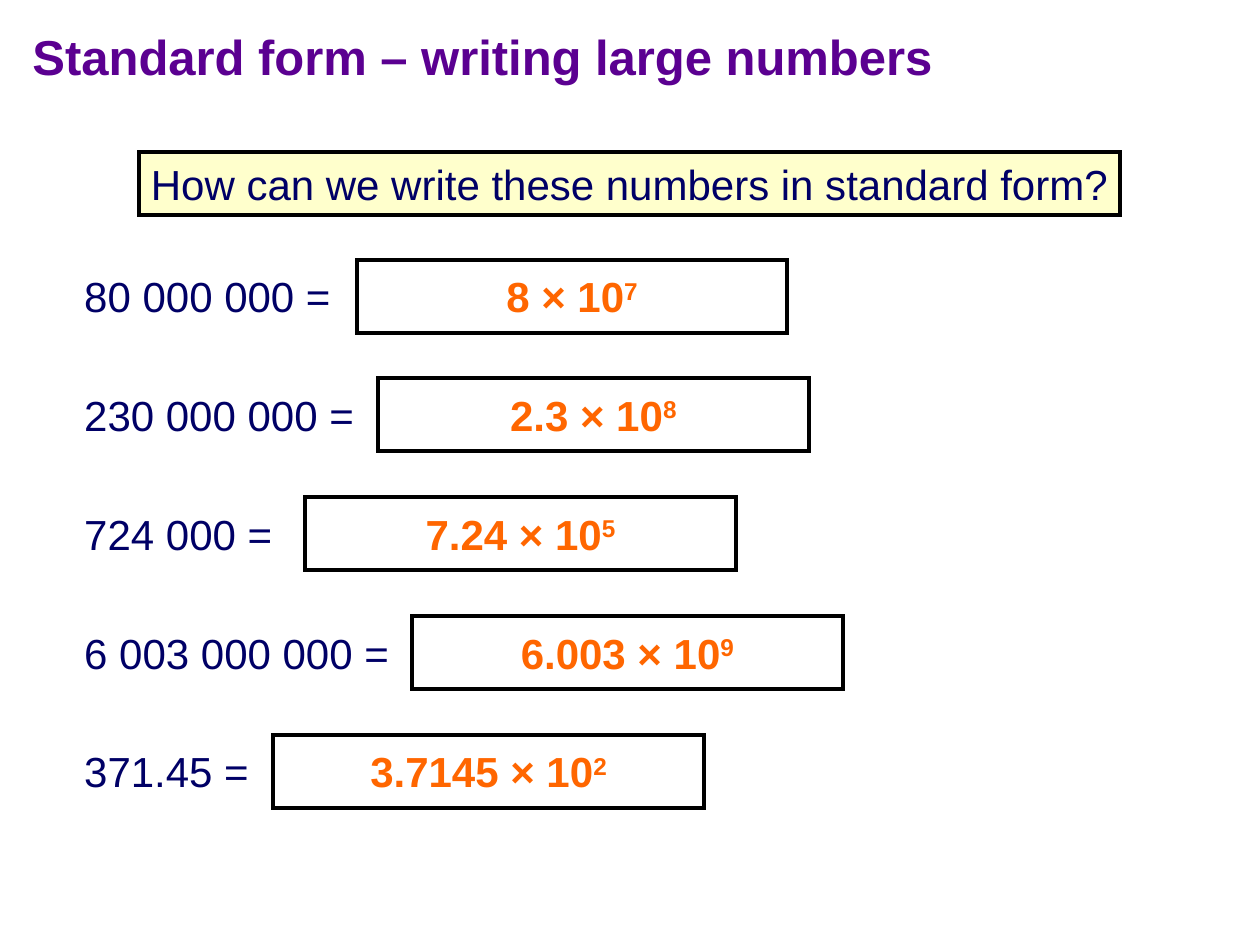
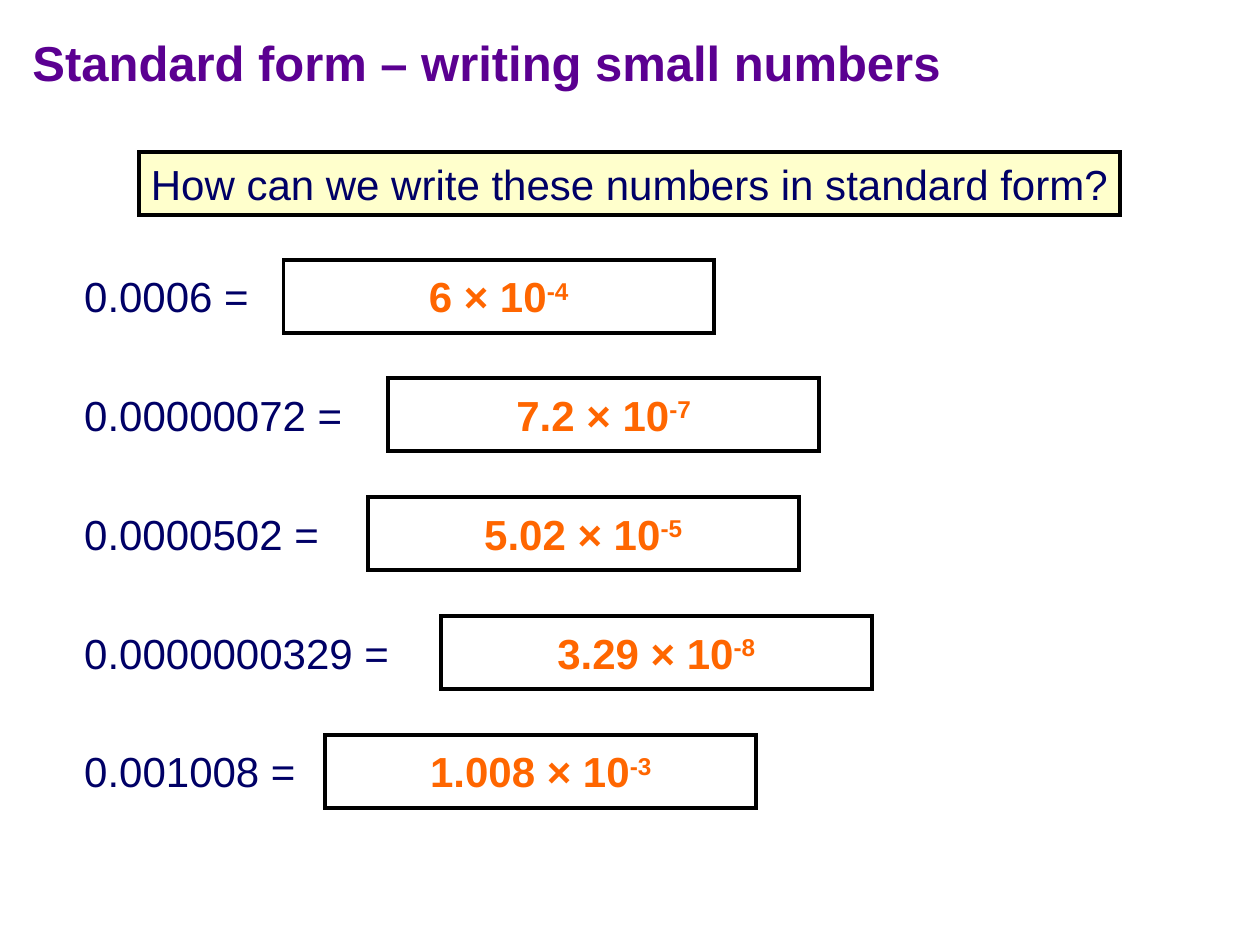
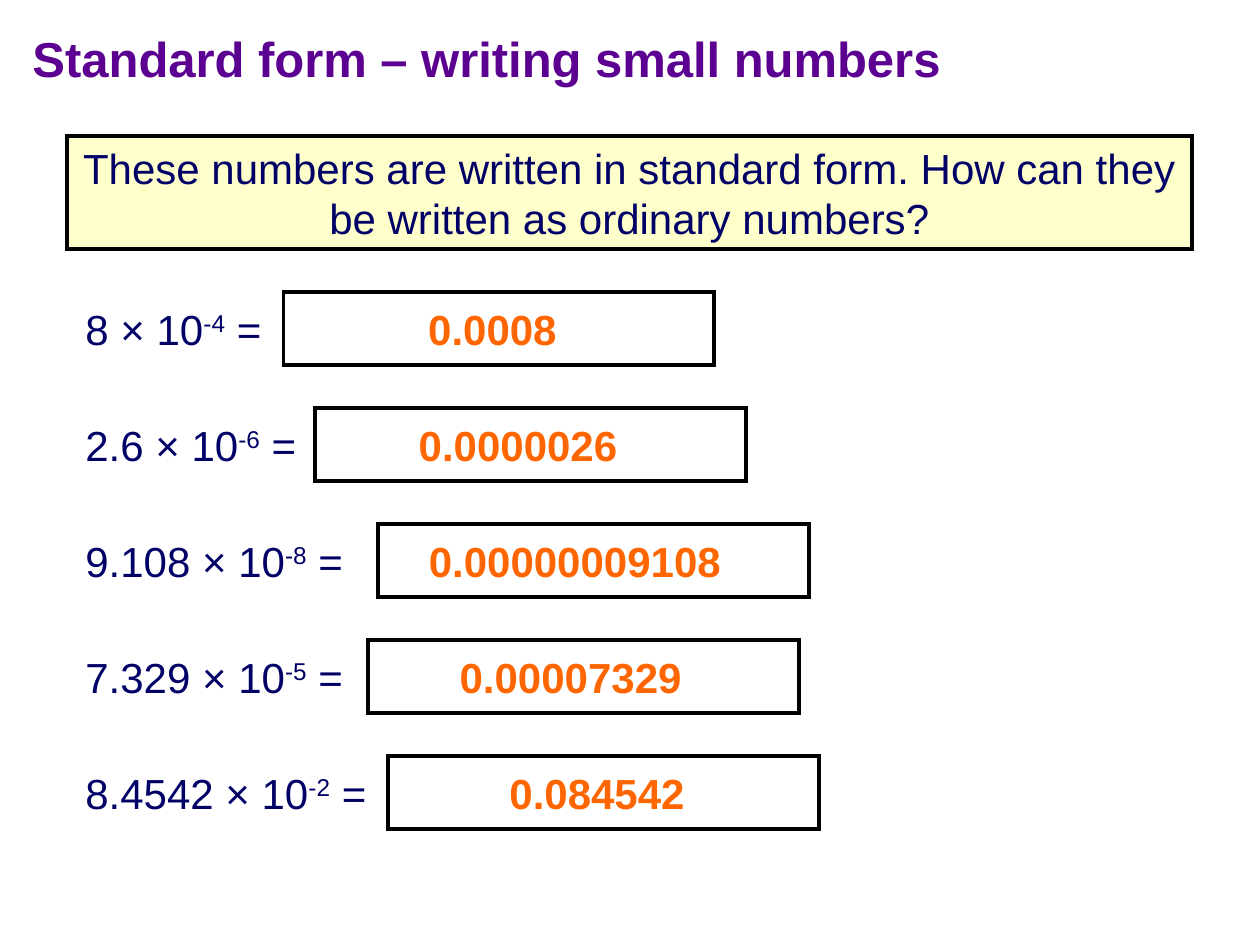
from dataclasses import dataclass

from lxml import etree
from pptx import Presentation
from pptx import util as u
from pptx.dml.color import RGBColor
from pptx.enum import shapes, text
from pptx.oxml import ns

FONT = "Arial"
PURPLE = "5B0091"
NAVY = "000066"
ORANGE = "FF6600"
CREAM = "FFFFCC"
WHITE = "FFFFFF"
BLACK = "000000"

ANSWER_BOX_WIDTH = 3.42
ANSWER_BOX_HEIGHT = 0.58
TEXT_HEIGHT = 0.5
TEXT_INSET = 0.04


@dataclass
class Row:
    question: str
    question_width: float
    box_left: float
    answer: str
    answer_width: float
    answer_shift: float = 0


def colour(value):
    return RGBColor.from_string(value)


def add_box(parts, left, top, width, height, fill=None, line=None):
    place = [u.Inches(length) for length in (left, top, width, height)]
    if not fill and not line:
        return parts.add_textbox(*place)
    box = parts.add_shape(shapes.MSO_SHAPE.RECTANGLE, *place)
    box.shadow.inherit = False
    if fill:
        box.fill.solid()
        box.fill.fore_color.rgb = colour(fill)
    else:
        box.fill.background()
    if line:
        box.line.color.rgb = colour(line)
        box.line.width = u.Pt(2.25)
        outline = box._element.spPr.find(ns.qn("a:ln"))
        etree.SubElement(outline, ns.qn("a:miter"), lim="800000")
    else:
        box.line.fill.background()
    return box


def write(box, content, ink, size=24, bold=False, margins=(0.1, 0),
          align=text.PP_ALIGN.LEFT, anchor=text.MSO_ANCHOR.TOP):
    frame = box.text_frame
    frame.word_wrap = True
    frame.auto_size = text.MSO_AUTO_SIZE.NONE
    frame.vertical_anchor = anchor
    frame.margin_left, frame.margin_right = [u.Inches(side) for side in margins]
    paragraph = frame.paragraphs[0]
    paragraph.alignment = align
    paragraph.font.name = FONT
    paragraph.font.size = u.Pt(size)
    paragraph.font.bold = bold
    paragraph.font.color.rgb = colour(ink)
    for index, piece in enumerate(content.split("^")):
        run = paragraph.add_run()
        run.text = piece
        if index % 2:
            run._r.get_or_add_rPr().set("baseline", "30000")


def add_title(slide, title, height):
    box = add_box(slide.shapes, 0.16, 0.16, 8.5, height)
    write(box, title, PURPLE, size=28, bold=True, anchor=text.MSO_ANCHOR.MIDDLE)


def add_prompt(slide, prompt, left, top, width, height):
    box = add_box(slide.shapes, left, top, width, height, CREAM, BLACK)
    write(box, prompt, NAVY, margins=(0.05, 0.05), align=text.PP_ALIGN.CENTER)


def add_row(slide, row, left, top, fill):
    text_top = top + TEXT_INSET
    pair = slide.shapes.add_group_shape().shapes
    question = add_box(pair, left, text_top, row.question_width, TEXT_HEIGHT, fill)
    write(question, row.question, NAVY)
    add_box(pair, row.box_left, top, ANSWER_BOX_WIDTH, ANSWER_BOX_HEIGHT, fill, BLACK)

    centring = (ANSWER_BOX_WIDTH - row.answer_width) / 2
    answer_left = row.box_left + centring + row.answer_shift
    answer = add_box(slide.shapes, answer_left, text_top, row.answer_width, TEXT_HEIGHT)
    write(answer, row.answer, ORANGE, bold=True)


def add_rows(slide, rows, left, first_top, last_top, fill=None):
    pitch = (last_top - first_top) / (len(rows) - 1)
    for index, row in enumerate(rows):
        add_row(slide, row, left, first_top + index * pitch, fill)


def add_to_standard_form(slide, title, title_height, rows, fill=None):
    add_prompt(slide, "How can we write these numbers in standard form?",
               1.1, 1.21, 7.79, 0.5)
    add_rows(slide, rows, 0.57, 2.06, 5.83, fill)
    add_title(slide, title, title_height)


def add_to_ordinary_numbers(slide, title, title_height, rows):
    add_prompt(slide, "These numbers are written in standard form. "
               "How can they be written as ordinary numbers?",
               0.53, 1.08, 8.93, 0.9)
    add_rows(slide, rows, 0.58, 2.32, 6, WHITE)
    add_title(slide, title, title_height)


LARGE_TITLE = "Standard form – writing large numbers"
SMALL_TITLE = "Standard form – writing small numbers"

LARGE_NUMBERS = [
    Row("80 000 000 =", 2.15, 2.83, "8 × 10^7", 1.24),
    Row("230 000 000 =", 2.34, 3, "2.3 × 10^8", 1.52),
    Row("724 000 =", 1.69, 2.42, "7.24 × 10^5", 1.7),
    Row("6 003 000 000 =", 2.62, 3.27, "6.003 × 10^9", 1.89),
    Row("371.45 =", 1.5, 2.17, "3.7145 × 10^2", 2.08),
]

SMALL_NUMBERS = [
    Row("0.0006 =", 1.5, 2.25, "6 × 10^-4", 1.31),
    Row("0.00000072 =", 2.25, 3.08, "7.2 × 10^-7", 1.58),
    Row("0.0000502 =", 2.06, 2.92, "5.02 × 10^-5", 1.77),
    Row("0.0000000329 =", 2.62, 3.5, "3.29 × 10^-8", 1.77),
    Row("0.001008 =", 1.88, 2.58, "1.008 × 10^-3", 1.95),
]

ORDINARY_NUMBERS = [
    Row("8 × 10^-4^ =", 1.59, 2.25, "0.0008", 1.22, -0.05),
    Row("2.6 × 10^-6^ =", 1.87, 2.5, "0.0000026", 1.77, -0.1),
    Row("9.108 × 10^-8^ =", 2.24, 3, "0.00000009108", 2.51, -0.15),
    Row("7.329 × 10^-5^ =", 2.24, 2.92, "0.00007329", 1.96, -0.1),
    Row("8.4542 × 10^-2^ =", 2.43, 3.08, "0.084542", 1.59, -0.05),
]


def main():
    deck = Presentation()
    deck.slide_width = u.Inches(10)
    deck.slide_height = u.Inches(7.5)
    blank = deck.slide_layouts[6]

    add_to_standard_form(deck.slides.add_slide(blank), LARGE_TITLE, 0.57, LARGE_NUMBERS)
    add_to_standard_form(deck.slides.add_slide(blank), SMALL_TITLE, 0.66, SMALL_NUMBERS, WHITE)
    add_to_ordinary_numbers(deck.slides.add_slide(blank), SMALL_TITLE, 0.6, ORDINARY_NUMBERS)

    deck.save("out.pptx")


if __name__ == "__main__":
    main()
